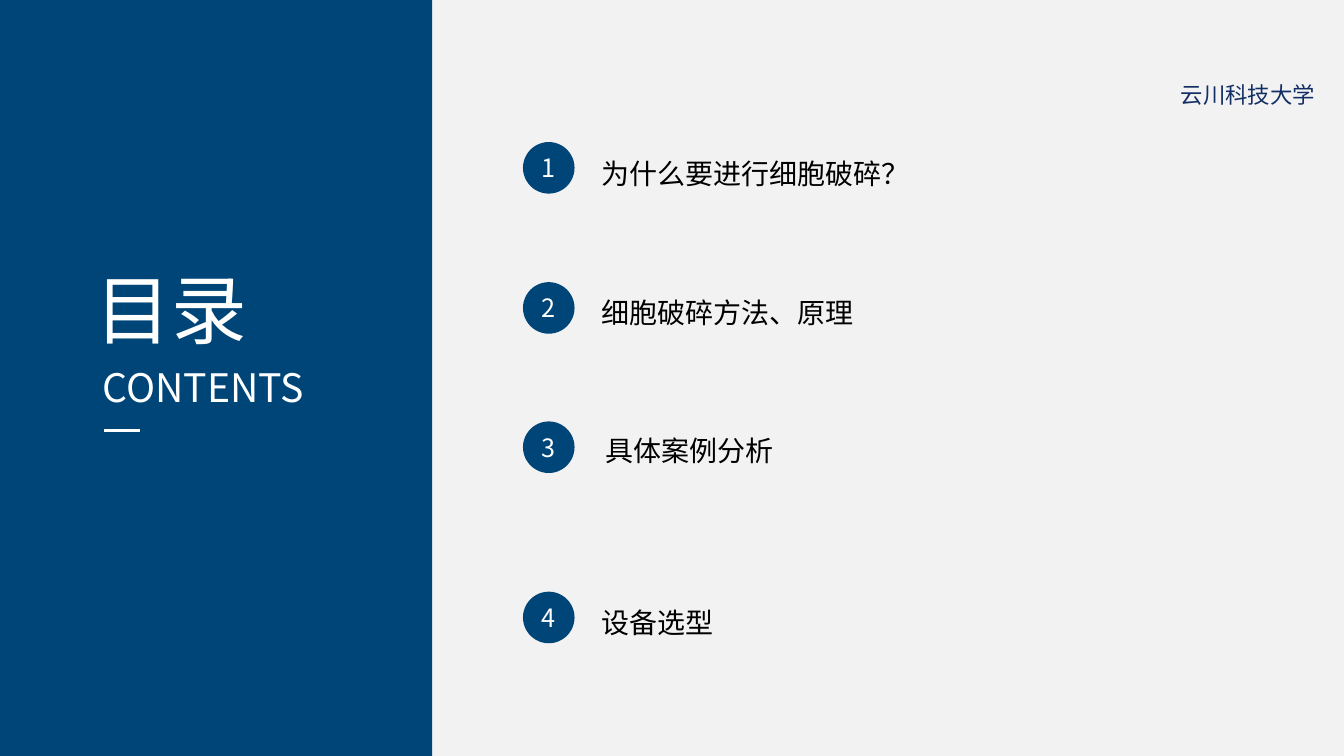
from lxml import etree
from pptx import Presentation
from pptx import util as u
from pptx.dml.color import RGBColor
from pptx.enum import shapes, text
from pptx.oxml.ns import qn

Cm, Pt = u.Cm, u.Pt
FONT = "Noto Sans CJK SC"
COLORS = {"blue": "004578", "navy": "132E65", "white": "FFFFFF",
          "black": "000000", "grey": "F2F2F2"}
# Circle top, label left, label top, label width (cm), label
CONTENTS = [
    (3.58, 14.91, 3.81, 8.03, "为什么要进行细胞破碎？"),
    (7.11, 14.91, 7.32, 7.37, "细胞破碎方法、原理"),
    (10.62, 15.01, 10.8, 9.47, "具体案例分析"),
    (14.91, 14.91, 15.14, 7.37, "设备选型"),
]


def rgb(name):
    return RGBColor.from_string(COLORS[name])


def add_run(p, words, size, color):
    r = p.add_run()
    r.text = words
    r.font.name = FONT
    r.font.size = Pt(size)
    r.font.color.rgb = rgb(color)
    # East Asian characters take their own typeface
    ea = etree.SubElement(r.font._element, qn("a:ea"))
    ea.set("typeface", FONT)


def add_text(slide, left, top, width, height, words, size, color, align=None):
    tf = slide.shapes.add_textbox(Cm(left), Cm(top), Cm(width), Cm(height)).text_frame
    tf.word_wrap = True
    tf.auto_size = text.MSO_AUTO_SIZE.SHAPE_TO_FIT_TEXT
    p = tf.paragraphs[0]
    p.alignment = align
    add_run(p, words, size, color)


def add_filled(slide, kind, left, top, width, height, color):
    sp = slide.shapes.add_shape(kind, Cm(left), Cm(top), Cm(width), Cm(height))
    sp.shadow.inherit = False
    sp.fill.solid()
    sp.fill.fore_color.rgb = rgb(color)
    sp.line.fill.background()
    return sp


def add_line(slide, x1, x2, y, color, width):
    line = slide.shapes.add_connector(
        shapes.MSO_CONNECTOR.STRAIGHT, Cm(x1), Cm(y), Cm(x2), Cm(y))
    line.line.color.rgb = rgb(color)
    line.line.width = Pt(width)
    etree.SubElement(line._element.spPr, qn("a:effectLst"))


def add_number(slide, top, number):
    sp = add_filled(slide, shapes.MSO_SHAPE.OVAL, 13.18, top, 1.3, 1.3, "blue")
    tf = sp.text_frame
    tf.vertical_anchor = text.MSO_ANCHOR.MIDDLE
    p = tf.paragraphs[0]
    p.alignment = text.PP_ALIGN.CENTER
    add_run(p, str(number), 18, "white")


def main():
    prs = Presentation()
    prs.slide_width, prs.slide_height = Cm(33.87), Cm(19.05)
    slide = prs.slides.add_slide(prs.slide_layouts[6])
    slide.background.fill.solid()
    slide.background.fill.fore_color.rgb = rgb("grey")

    # Title panel
    add_filled(slide, shapes.MSO_SHAPE.RECTANGLE, 0, 0, 10.89, 19.05, "blue")
    justify = text.PP_ALIGN.JUSTIFY
    add_text(slide, 2.16, 6.5, 4.52, 2.57, "目录", 54, "white", justify)
    add_text(slide, 2.34, 9.04, 6.22, 1.45, "CONTENTS", 28, "white", justify)
    add_line(slide, 2.62, 3.53, 10.85, "white", 2.25)

    # Numbered contents
    for number, (circle_top, left, top, width, label) in enumerate(CONTENTS, 1):
        add_number(slide, circle_top, number)
        add_text(slide, left, top, width, 1.12, label, 20, "black")

    # School name
    add_text(slide, 29.51, 1.93, 4.01, 0.94, "云川科技大学", 16, "navy")

    prs.save("out.pptx")


if __name__ == "__main__":
    main()
